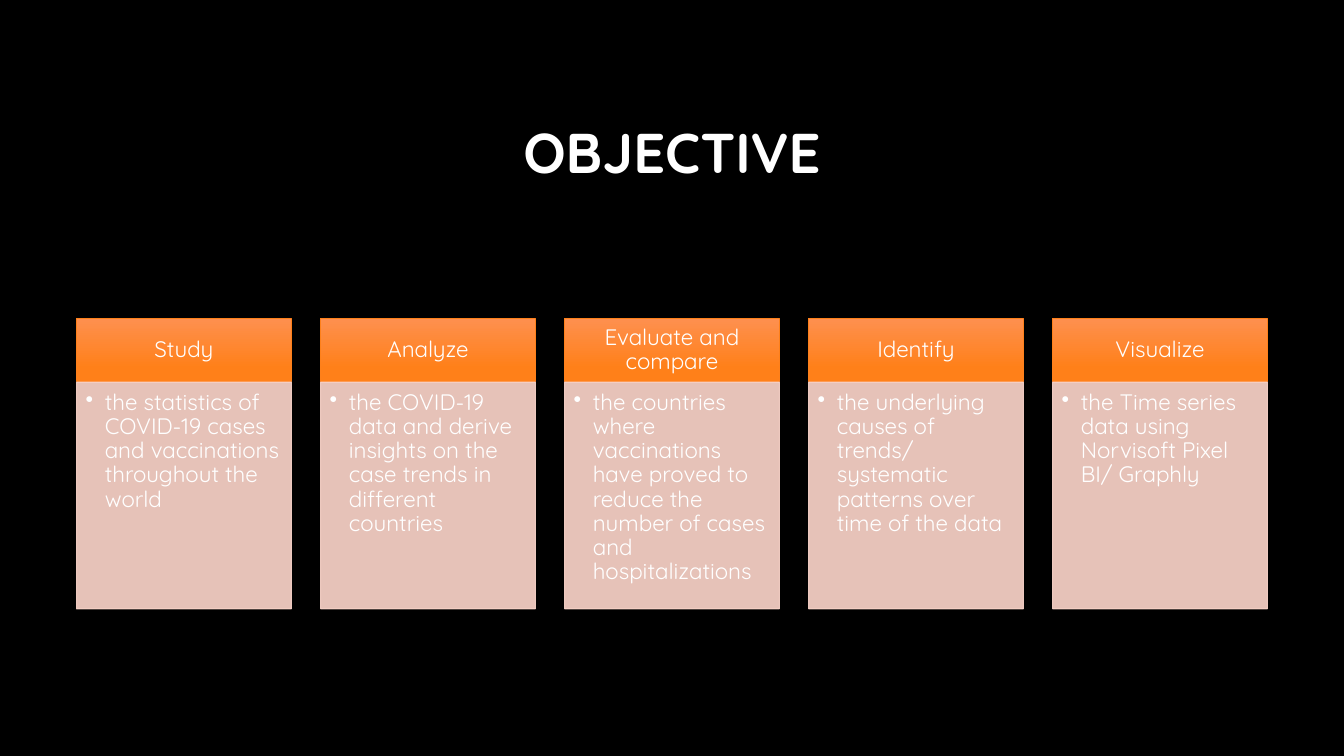
from pptx import Presentation
from pptx.dml.color import RGBColor
from pptx.enum.shapes import MSO_SHAPE
from pptx.enum.text import MSO_ANCHOR, MSO_AUTO_SIZE, PP_ALIGN
from pptx.oxml.ns import qn
from pptx.util import Inches, Pt
from lxml.etree import SubElement

COLORS = {"back": "000000", "text": "FFFFFF", "top": "FE904F",
          "base": "FF8019", "edge": "FE801A", "pale": "FFD8CD"}
FONT = "Quicksand"
WIDE, HIGH = 13.33, 7.5

# Card grid: left edge, column step and width; row tops and heights
LEFT, STEP, WIDTH = 0.76, 2.42, 2.13
HEAD, BODY = (3.16, 0.63), (3.79, 2.25)

CARDS = [
    ("Study", "the statistics of COVID-19 cases and vaccinations "
              "throughout the world"),
    ("Analyze", "the COVID-19 data and derive insights on the case trends "
                "in different countries"),
    ("Evaluate and compare", "the countries where vaccinations have proved "
                             "to reduce the number of cases and "
                             "hospitalizations"),
    ("Identify", "the underlying causes of trends/ systematic patterns "
                 "over time of the data"),
    ("Visualize", "the Time series data using Norvisoft Pixel BI/ Graphly"),
]


def color(name):
    return RGBColor.from_string(COLORS[name])


class Deck:
    def __init__(self):
        self.prs = Presentation()
        self.prs.slide_width = Inches(WIDE)
        self.prs.slide_height = Inches(HIGH)
        self.slide = self.prs.slides.add_slide(self.prs.slide_layouts[5])
        fill = self.slide.background.fill
        fill.solid()
        fill.fore_color.rgb = color("back")

    def label(self, shape, text, size, align, anchor, pads, bold=False):
        frame = shape.text_frame
        frame.text = text
        frame.word_wrap = True
        frame.auto_size = MSO_AUTO_SIZE.NONE
        frame.vertical_anchor = anchor
        (frame.margin_left, frame.margin_top,
         frame.margin_right, frame.margin_bottom) = map(Inches, pads)
        line = frame.paragraphs[0]
        line.alignment = align
        line.line_spacing = 0.9
        font = line.runs[0].font
        font.name, font.size, font.bold = FONT, Pt(size), bold
        font.color.rgb = color("text")
        return line

    def title(self, text):
        shape = self.slide.shapes.title
        shape.left, shape.top = Inches(0.75), Inches(0.84)
        shape.width, shape.height = Inches(11.83), Inches(1.41)
        self.label(shape, text, 40, PP_ALIGN.CENTER, MSO_ANCHOR.MIDDLE,
                   (0.1, 0.05, 0.1, 0.05), bold=True)

    def box(self, col, row, edge):
        top, high = row
        shape = self.slide.shapes.add_shape(
            MSO_SHAPE.RECTANGLE, Inches(LEFT + col * STEP), Inches(top),
            Inches(WIDTH), Inches(high))
        shape.shadow.inherit = False
        shape.line.color.rgb = color(edge)
        shape.line.width = Pt(0.75)
        return shape

    def head(self, col, text):
        shape = self.box(col, HEAD, "edge")
        shape.fill.gradient()
        shape.fill.gradient_angle = 270
        stops = shape.fill.gradient_stops
        for stop, name, place in zip(stops, ("top", "base"), (0, 0.78)):
            stop.color.rgb = color(name)
            stop.position = place
        self.label(shape, text, 16, PP_ALIGN.CENTER, MSO_ANCHOR.MIDDLE,
                   (0.12, 0.07, 0.12, 0.07))

    def body(self, col, text):
        shape = self.box(col, BODY, "pale")
        shape.fill.solid()
        shape.fill.fore_color.rgb = color("pale")
        # Fill and line are 90% opaque
        for tint in shape.element.spPr.iter(qn("a:srgbClr")):
            SubElement(tint, qn("a:alpha"), val="90000")
        line = self.label(shape, text, 16, PP_ALIGN.LEFT, MSO_ANCHOR.TOP,
                          (0.09, 0.09, 0.12, 0.14))
        # Hanging bullet
        props = line._p.get_or_add_pPr()
        props.set("marL", str(Inches(0.19)))
        props.set("indent", str(-Inches(0.19)))
        SubElement(props, qn("a:buChar"), char="•")


def main():
    deck = Deck()
    deck.title("OBJECTIVE")
    # One card per column
    for col, (name, goal) in enumerate(CARDS):
        deck.head(col, name)
        deck.body(col, goal)
    deck.prs.save("out.pptx")


if __name__ == "__main__":
    main()
